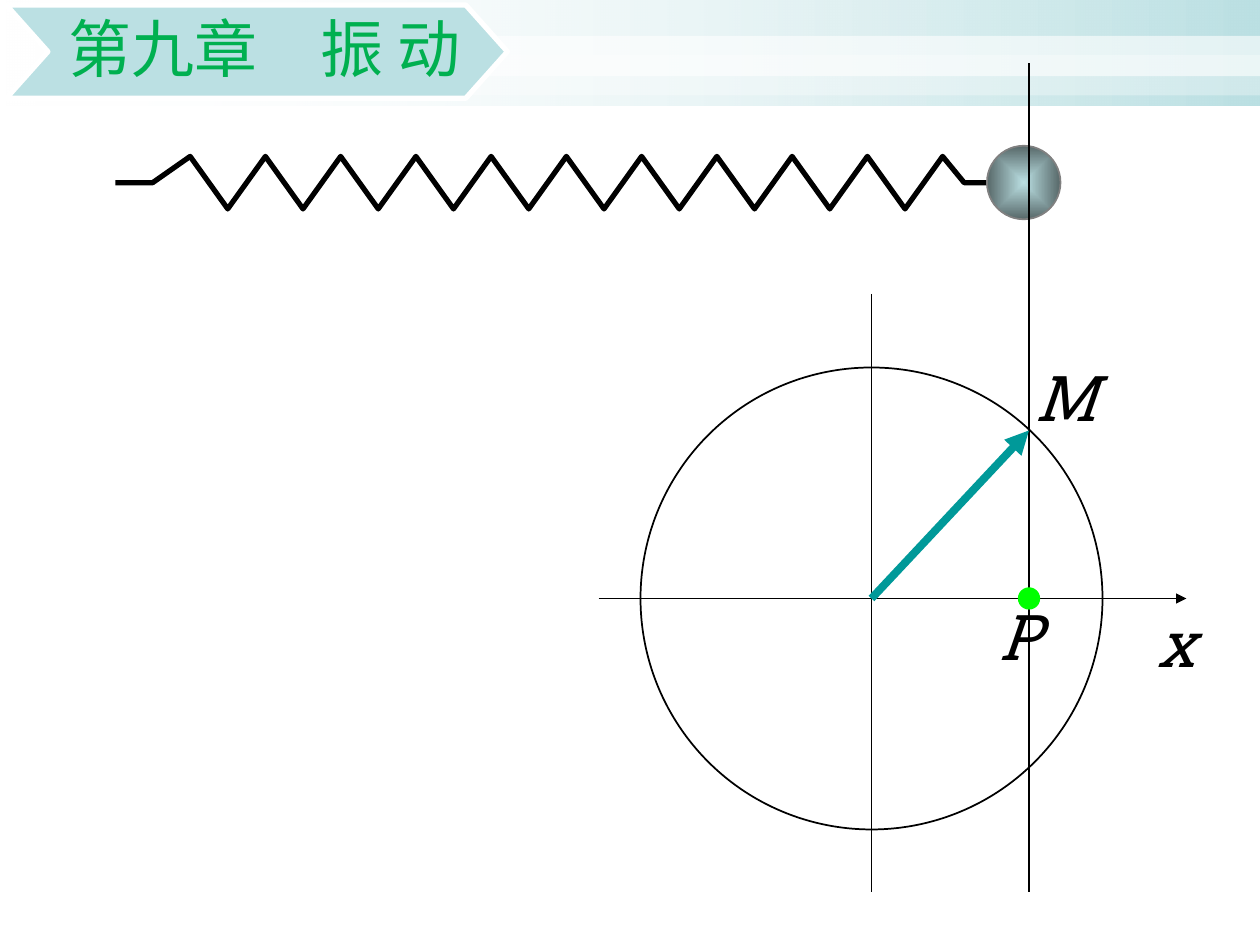
from dataclasses import dataclass

from lxml import etree
from pptx import Presentation
from pptx.dml.color import RGBColor
from pptx.enum.shapes import MSO_CONNECTOR, MSO_SHAPE
from pptx.enum.text import MSO_ANCHOR, MSO_AUTO_SIZE, PP_ALIGN
from pptx.oxml import parse_xml
from pptx.oxml.ns import nsdecls, qn
from pptx.util import Pt


@dataclass(frozen=True)
class Theme:
    black: str = "000000"
    white: str = "FFFFFF"
    pale: str = "BBE0E3"
    shade: str = "576869"
    grey: str = "808080"
    teal: str = "009999"
    lime: str = "00FF00"
    green: str = "00B050"
    size: int = 36
    title_font: str = "Calibri"
    label_font: str = "Roboto Slab"


theme = Theme()


def paint(shape, fill=None, line=None, width=1.0, alpha=None, gradient=None):
    """Set fill and outline; gradient holds the inside of an a:gradFill."""
    shape.shadow.inherit = False
    if gradient:
        shape.fill.background()
        old = shape._element.spPr.find(qn("a:noFill"))
        old.getparent().replace(old, parse_xml(
            f'<a:gradFill {nsdecls("a")} rotWithShape="1">{gradient}</a:gradFill>'))
    elif fill:
        shape.fill.solid()
        shape.fill.fore_color.rgb = RGBColor.from_string(fill)
        if alpha is not None:
            color = shape._element.spPr.find(qn("a:solidFill"))[0]
            etree.SubElement(color, qn("a:alpha")).set("val", str(alpha * 1000))
    else:
        shape.fill.background()
    if line:
        shape.line.color.rgb = RGBColor.from_string(line)
        shape.line.width = Pt(width)
    else:
        shape.line.fill.background()


def add_line(shapes, start, end, color=theme.black, width=1.0, arrow=False):
    line = shapes.add_connector(MSO_CONNECTOR.STRAIGHT, *map(Pt, start + end))
    line.line.color.rgb = RGBColor.from_string(color)
    line.line.width = Pt(width)
    if arrow:
        etree.SubElement(line.line._get_or_add_ln(), qn("a:tailEnd")).set("type", "triangle")
    etree.SubElement(line._element.spPr, qn("a:effectLst"))


deck = Presentation()
deck.slide_width, deck.slide_height = Pt(720), Pt(540)
page = deck.slides.add_slide(deck.slide_layouts[6])
shapes = page.shapes

# Header band with two translucent stripes
band = shapes.add_shape(MSO_SHAPE.RECTANGLE, 0, 0, Pt(720), Pt(60.5))
paint(band, gradient=(
    f'<a:gsLst><a:gs pos="0"><a:srgbClr val="{theme.white}"><a:alpha val="0"/></a:srgbClr></a:gs>'
    f'<a:gs pos="100000"><a:srgbClr val="{theme.pale}"/></a:gs></a:gsLst>'
    '<a:lin ang="0" scaled="1"/>'))
for top, alpha in ((20.5, 60), (31.5, 31)):
    stripe = shapes.add_shape(MSO_SHAPE.RECTANGLE, 0, Pt(top), Pt(720), Pt(23))
    paint(stripe, theme.white, alpha=alpha)

# Spring: straight ends around an even zigzag
spring_y, swing, step, first_x = 104.4, 15, 21.5, 108.7
zigzag = [(first_x + step * i, spring_y + (swing if i % 2 else -swing)) for i in range(21)]
coil = [(87.3, spring_y), *zigzag, (551, spring_y), (564, spring_y)]
builder = shapes.build_freeform(Pt(66), Pt(spring_y), scale=1.0)
builder.add_line_segments([(Pt(x), Pt(y)) for x, y in coil], close=False)
paint(builder.convert_to_shape(), line=theme.black, width=3)

# Ball on the spring
ball = shapes.add_shape(MSO_SHAPE.OVAL, Pt(564), Pt(83.3), Pt(42), Pt(42))
paint(ball, line=theme.grey, gradient=(
    f'<a:gsLst><a:gs pos="0"><a:srgbClr val="{theme.pale}"/></a:gs>'
    f'<a:gs pos="100000"><a:srgbClr val="{theme.shade}"/></a:gs></a:gsLst>'
    '<a:path path="rect"><a:fillToRect l="50000" t="50000" r="50000" b="50000"/></a:path>'))

# Reference circle, axes and rotating vector
center_x, center_y, radius = 498, 342, 132
point_x, point_y, bottom = 588, 246, 510
add_line(shapes, (point_x, 36), (point_x, bottom))
circle = shapes.add_shape(MSO_SHAPE.OVAL, Pt(center_x - radius), Pt(center_y - radius),
                          Pt(2 * radius), Pt(2 * radius))
paint(circle, line=theme.black)
add_line(shapes, (342, center_y), (678, center_y), arrow=True)
add_line(shapes, (center_x, 168), (center_x, bottom))
add_line(shapes, (center_x, center_y), (point_x, point_y), theme.teal, 4.5, arrow=True)

for letter, left, top, width in (("x", 654.5, 342, 34), ("M", 584.6, 201.6, 45.4),
                                 ("P", 564, 337.7, 36)):
    box = shapes.add_textbox(Pt(left), Pt(top), Pt(width), Pt(50.4))
    frame = box.text_frame
    frame.text = letter
    frame.word_wrap = False
    frame.auto_size = MSO_AUTO_SIZE.SHAPE_TO_FIT_TEXT
    font = frame.paragraphs[0].runs[0].font
    font.name, font.size, font.italic = theme.label_font, Pt(theme.size), True
    font.color.rgb = RGBColor.from_string(theme.black)

dot = shapes.add_shape(MSO_SHAPE.OVAL, Pt(point_x - 6), Pt(center_y - 6), Pt(12), Pt(12))
paint(dot, theme.lime, theme.lime, 0.75)

# Chapter banner
left, top, right, bottom, notch = 3.6, 2.9, 290, 56.2, 23.8
middle = (top + bottom) / 2
outline = [(right - notch, top), (right, middle), (right - notch, bottom),
           (left, bottom), (left + notch, middle)]
builder = shapes.build_freeform(Pt(left), Pt(top), scale=1.0)
builder.add_line_segments([(Pt(x), Pt(y)) for x, y in outline], close=True)
banner = builder.convert_to_shape()
paint(banner, theme.pale, theme.white, 3)
frame = banner.text_frame
frame.text = "第九章　振 动"
frame.word_wrap = True
frame.vertical_anchor = MSO_ANCHOR.MIDDLE
frame.margin_left, frame.margin_right = Pt(30), Pt(26.6)
frame.margin_top = frame.margin_bottom = Pt(2)
para = frame.paragraphs[0]
para.alignment = PP_ALIGN.RIGHT
para.line_spacing = 0.9
para.space_after = Pt(15.8)
font = para.runs[0].font
font.name, font.size = theme.title_font, Pt(theme.size)
font.color.rgb = RGBColor.from_string(theme.green)

deck.save("out.pptx")
